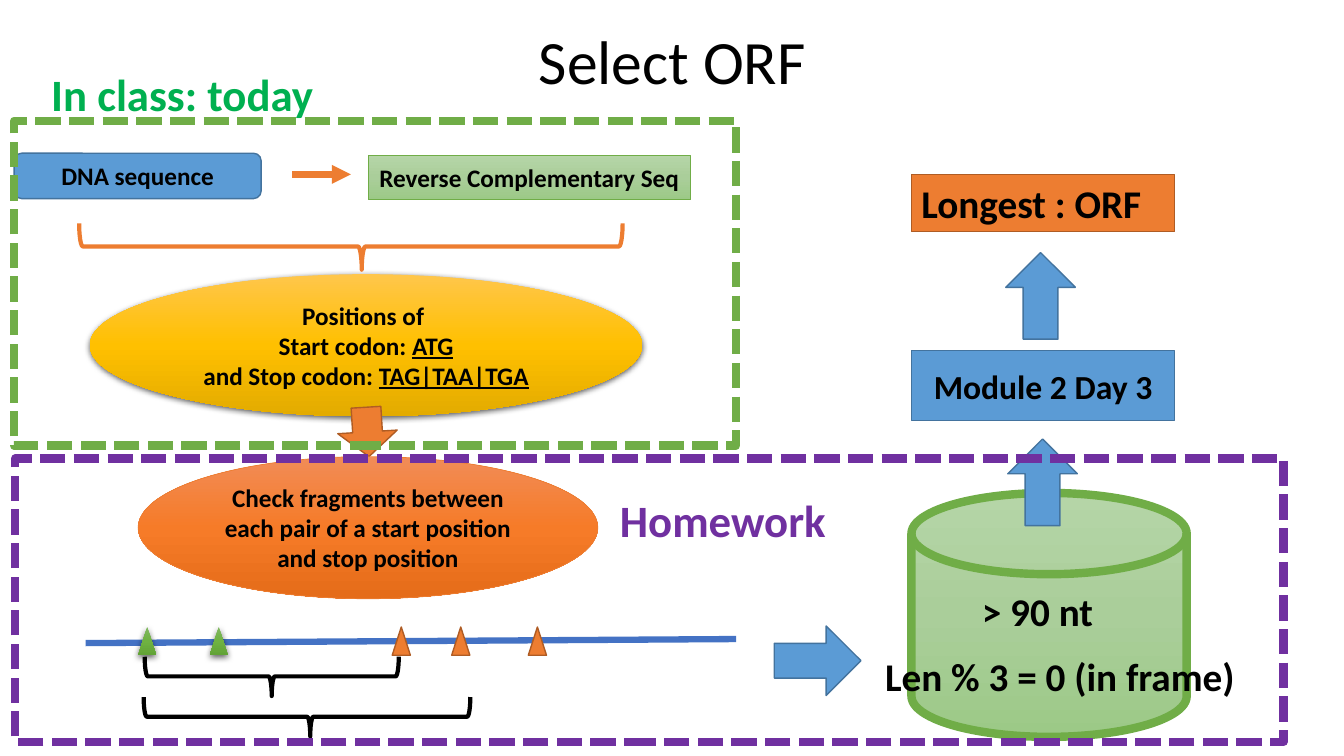
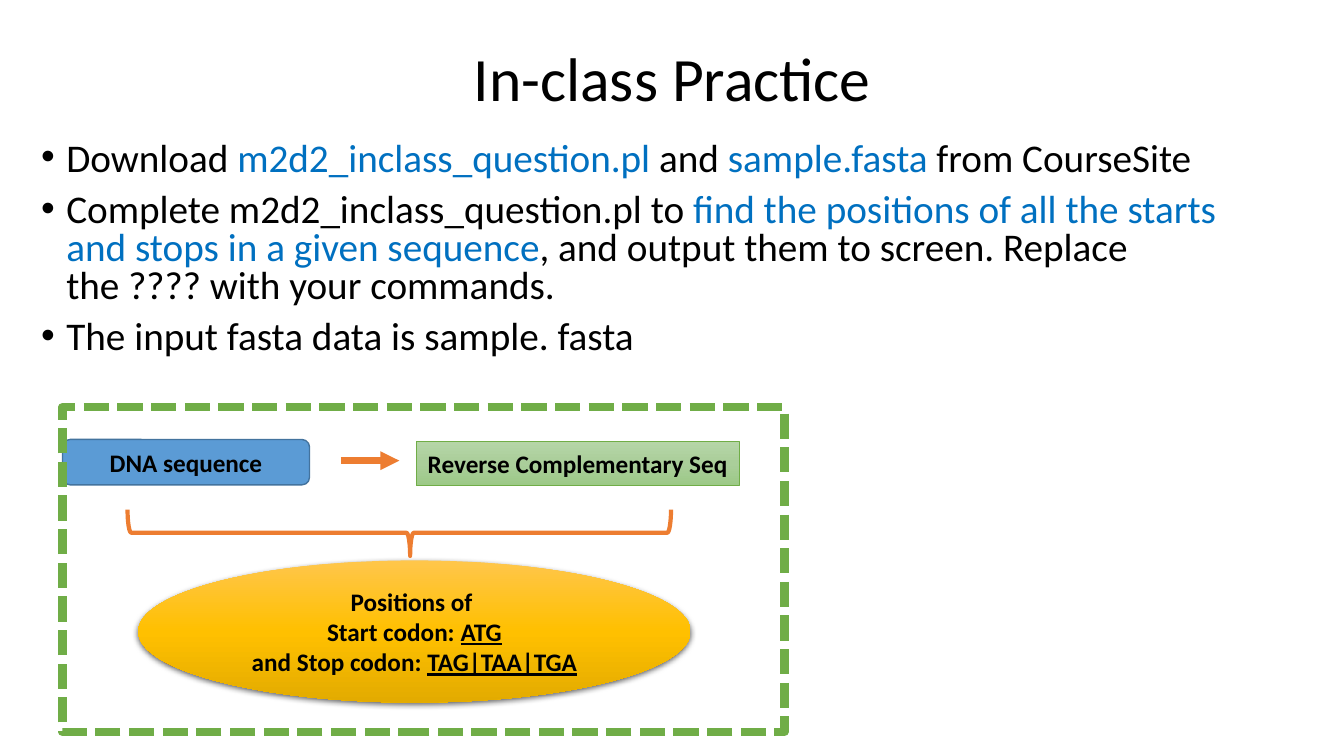
from lxml import etree
from pptx import Presentation
from pptx.dml.color import RGBColor
from pptx.enum.dml import MSO_LINE
from pptx.enum.shapes import MSO_CONNECTOR, MSO_SHAPE
from pptx.enum.text import MSO_ANCHOR, PP_ALIGN
from pptx.oxml.ns import qn
from pptx.util import Inches, Pt

RECT, ROUND, OVAL = MSO_SHAPE.RECTANGLE, MSO_SHAPE.ROUNDED_RECTANGLE, MSO_SHAPE.OVAL
ARROW, BRACE = MSO_SHAPE.RIGHT_ARROW, MSO_SHAPE.LEFT_BRACE
TRIANGLE, DISK = MSO_SHAPE.ISOSCELES_TRIANGLE, MSO_SHAPE.FLOWCHART_MAGNETIC_DISK
STRAIGHT, DASH = MSO_CONNECTOR.STRAIGHT, MSO_LINE.SQUARE_DOT
LEFT, CENTER = PP_ALIGN.LEFT, PP_ALIGN.CENTER
TOP, MIDDLE = MSO_ANCHOR.TOP, MSO_ANCHOR.MIDDLE

FONT = "Calibri"
BLACK, BLUE, BLUE_EDGE = "000000", "5B9BD5", "43739E"
ORANGE, ORANGE_EDGE, GREEN, PURPLE = "ED7D31", "AF5C24", "70AD47", "7030A0"
LABEL_GREEN, LINK, STRAND = "00B050", "0070C0", "4472C4"
GOLD_FADE = ("FFC64B", "FFC000", "E3AB00")
PALE_FADE = ("B5D5A7", "AACE9A", "9CC987")
ORANGE_FADE = ("F18C57", "F67B28", "E56C19")
GREEN_FADE = ("81B861", "6FB242", "62A336")


def add(s, kind, box, fill=None, line=None, width=1, rot=0, shadow=False):
    """Add a preset shape; fill is a hex colour or three gradient stops."""
    sp = s.shapes.add_shape(kind, *map(Inches, box))
    sp.rotation = rot
    sp.shadow.inherit = False
    if fill is None:
        sp.fill.background()
    elif isinstance(fill, str):
        sp.fill.solid()
        sp.fill.fore_color.rgb = RGBColor.from_string(fill)
    else:
        sp.fill.gradient()
        sp.fill.gradient_angle = 270
        stops = sp.element.spPr.find(".//" + qn("a:gsLst"))
        for old in list(stops):
            stops.remove(old)
        for i, color in enumerate(fill):
            stop = etree.SubElement(stops, qn("a:gs"), pos=str(i * 50000))
            etree.SubElement(stop, qn("a:srgbClr"), val=color)
    if line:
        sp.line.color.rgb = RGBColor.from_string(line)
        sp.line.width = Pt(width)
    else:
        sp.line.fill.background()
    if shadow:
        effects = sp.element.spPr.find(qn("a:effectLst"))
        outer = etree.SubElement(effects, qn("a:outerShdw"), blurRad=str(Pt(4.5)),
                                 dist=str(Pt(1.5)), dir="5400000", rotWithShape="0")
        color = etree.SubElement(outer, qn("a:srgbClr"), val=BLACK)
        etree.SubElement(color, qn("a:alpha"), val="63000")
    return sp


def write(sp, lines, size, color=BLACK, bold=True, align=CENTER, anchor=MIDDLE, accent=None):
    """Write lines; parts between asterisks take the accent colour, or an underline."""
    tf = sp.text_frame
    tf.word_wrap = True
    tf.vertical_anchor = anchor
    for n, text in enumerate(lines):
        p = tf.add_paragraph() if n else tf.paragraphs[0]
        p.alignment = align
        for i, part in enumerate(text.split("*")):
            if not part:
                continue
            r = p.add_run()
            r.text = part
            marked = i % 2 == 1
            r.font.name, r.font.size, r.font.bold = FONT, Pt(size), bold
            r.font.color.rgb = RGBColor.from_string(accent if marked and accent else color)
            if marked and not accent:
                r.font.underline = True
    return tf


prs = Presentation()
prs.slide_width, prs.slide_height = Inches(13.33), Inches(7.5)
blank = prs.slide_layouts[6]
orf, practice = prs.slides.add_slide(blank), prs.slides.add_slide(blank)

# Titles
for s, title, top, height in ((orf, "Select ORF", 0.16, 0.97),
                              (practice, "In-class Practice", 0.08, 1.45)):
    box = s.shapes.add_textbox(*map(Inches, (0.92, top, 11.5, height)))
    write(box, [title], 44, bold=False).paragraphs[0].line_spacing = 0.9

# Codon panel, on both slides; x and y are the corner of its dashed frame
panels = ((orf, 0.14, 1.2), (practice, 0.62, 4.04))
links = [(orf, 0.85, 6.38, 7.3, 6.34, STRAND, False)]
for s, x, y in panels:
    codons = add(s, OVAL, (x + 0.75, y + 1.52, 5.48, 1.41), GOLD_FADE, shadow=True)
    write(codons, ["Positions of ", "Start codon: *ATG*", "and Stop codon: *TAG|TAA|TGA*"], 18)
    dna = add(s, ROUND, (x, y + 0.32, 2.45, 0.45), BLUE, BLUE_EDGE)
    write(dna, ["DNA sequence"], 18)
    reverse = add(s, RECT, (x + 3.51, y + 0.34, 3.2, 0.44), PALE_FADE, GREEN, 0.5)
    write(reverse, ["Reverse Complementary Seq"], 18)
    links.append((s, x + 2.76, y + 0.53, x + 3.34, y + 0.53, ORANGE, True))

# DNA strand and the arrows between the sequences
for s, x1, y1, x2, y2, color, arrow in links:
    link = s.shapes.add_connector(STRAIGHT, *map(Inches, (x1, y1, x2, y2)))
    link.line.color.rgb = RGBColor.from_string(color)
    link.line.width = Pt(4.5)
    if arrow:
        etree.SubElement(link.line._get_or_add_ln(), qn("a:tailEnd"), type="triangle")
    etree.SubElement(link.element.spPr, qn("a:effectLst"))

# Fragment check
add(orf, ARROW, (3.4, 3.99, 0.49, 0.59), ORANGE, ORANGE_EDGE, rot=86.5)
check = add(orf, OVAL, (1.37, 4.53, 4.56, 1.41), ORANGE_FADE, ORANGE, 0.5)
write(check, ["Check fragments between each pair of a start position and stop position"], 18)
for x in (1.37, 2.08):
    add(orf, TRIANGLE, (x, 6.22, 0.18, 0.28), GREEN_FADE, shadow=True)
for x in (3.89, 4.48, 5.24):
    add(orf, TRIANGLE, (x, 6.22, 0.18, 0.28), ORANGE, ORANGE_EDGE)

# Braces
braces = [(s, (x + 3.11, y - 1.45, 0.46, 5.39), ORANGE, 0.52) for s, x, y in panels]
braces += [(orf, (2.5, 5.45, 0.39, 2.52), BLACK, 0.5), (orf, (2.85, 5.49, 0.39, 3.24), BLACK, 0.51)]
for s, box, color, tip in braces:
    brace = add(s, BRACE, box, None, color, 3, rot=270)
    brace.adjustments[0], brace.adjustments[1] = 0.08, tip

# Length filter and the way up to the longest ORF
add(orf, DISK, (9.04, 4.89, 2.73, 2.42), PALE_FADE, GREEN, 6)
for x, y, rot in ((7.68, 6.21, 0), (9.91, 4.44, 270), (9.89, 2.59, 270)):
    add(orf, ARROW, (x, y, 0.86, 0.69), BLUE, BLUE_EDGE, rot=rot)
longest = add(orf, RECT, (9.04, 1.73, 2.61, 0.57), ORANGE, ORANGE_EDGE)
write(longest, ["Longest : ORF"], 28, align=LEFT, anchor=TOP)
module = add(orf, RECT, (9.04, 3.48, 2.61, 0.69), BLUE, BLUE_EDGE)
write(module, ["Module 2 Day 3"], 24)

# Dashed frames
frames = [(s, (x, y, 7.16, 3.22), GREEN) for s, x, y in panels]
frames.append((orf, (0.15, 4.55, 12.58, 2.81), PURPLE))
for s, box, color in frames:
    add(s, RECT, box, None, color, 6).line.dash_style = DASH

# Free labels
for text, box, size, color in (
        ("In class: today", (0.41, 0.61, 3.67, 0.64), 32, LABEL_GREEN),
        ("Homework", (6.05, 4.84, 2.59, 0.64), 32, PURPLE),
        ("> 90 nt", (9.64, 5.78, 1.8, 0.57), 28, BLACK),
        ("Len % 3 = 0 (in frame)", (8.68, 6.42, 3.96, 0.57), 28, BLACK)):
    label = orf.shapes.add_textbox(*map(Inches, box))
    write(label, [text], size, color, align=LEFT, anchor=TOP)

# Practice steps
steps = practice.shapes.add_textbox(*map(Inches, (0.31, 1.36, 11.97, 2.38)))
tf = write(steps, [
    "Download *m2d2_inclass_question.pl* and *sample.fasta* from CourseSite",
    "Complete m2d2_inclass_question.pl to *find the positions of all the starts and stops "
    "in a given sequence*, and output them to screen. Replace the ???? with your commands. ",
    "The input fasta data is sample. fasta",
], 28, bold=False, align=LEFT, anchor=TOP, accent=LINK)
for p in tf.paragraphs:
    p.line_spacing, p.space_before = 0.8, Pt(10)
    pPr = p._p.get_or_add_pPr()
    pPr.set("marL", str(Inches(0.25)))
    pPr.set("indent", str(-Inches(0.25)))
    etree.SubElement(pPr, qn("a:buFont"), typeface="Arial")
    etree.SubElement(pPr, qn("a:buChar"), char="•")

prs.save("out.pptx")
